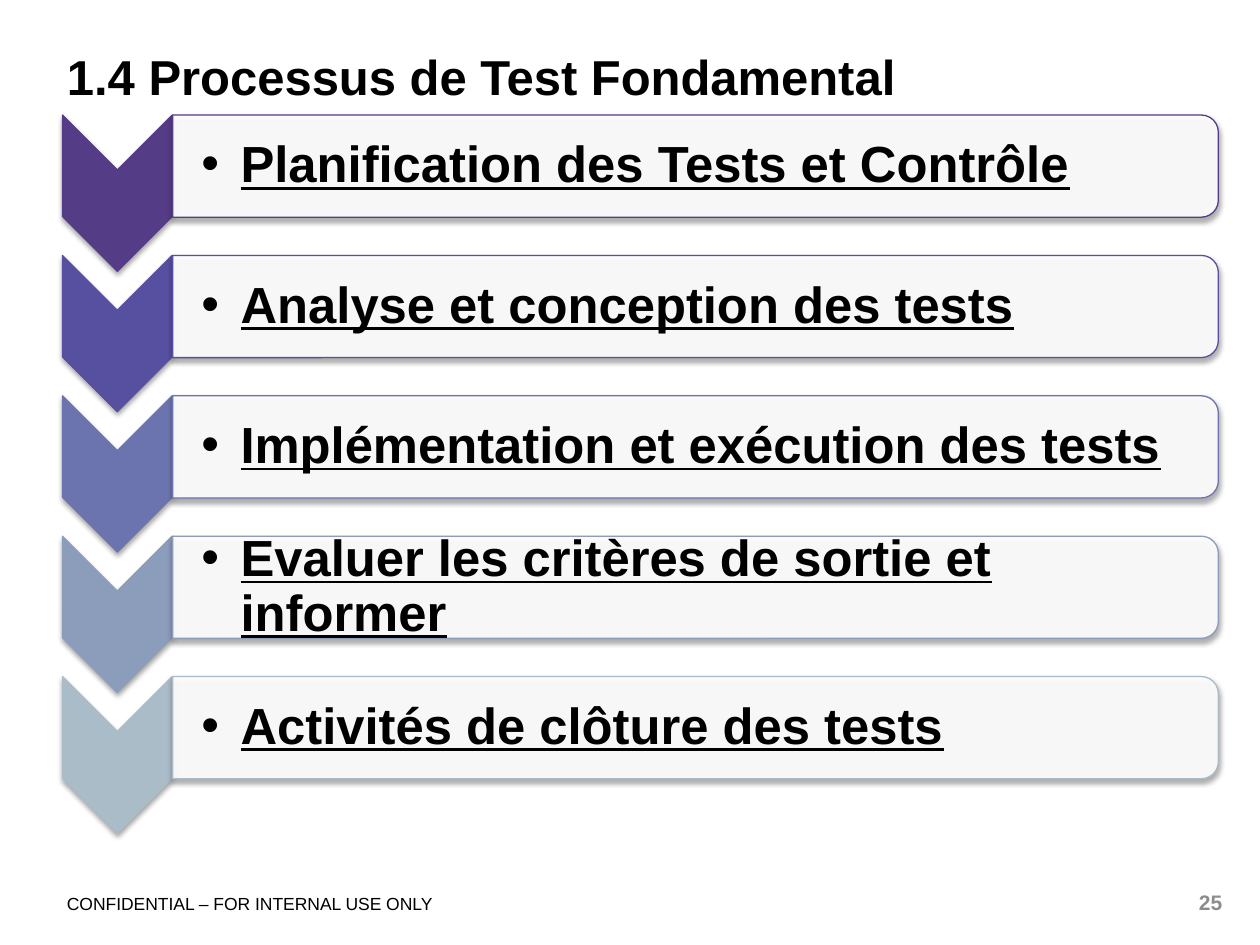
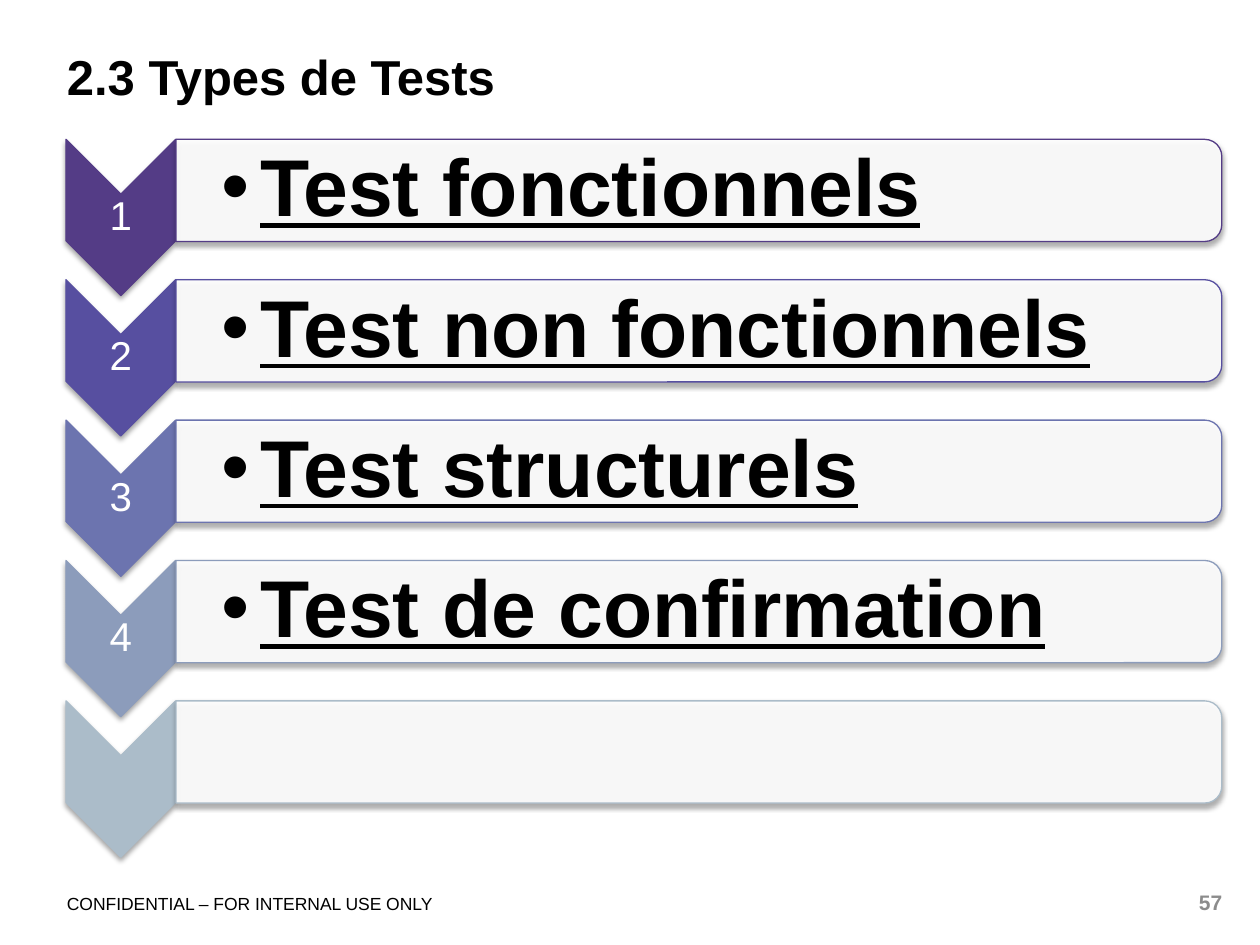
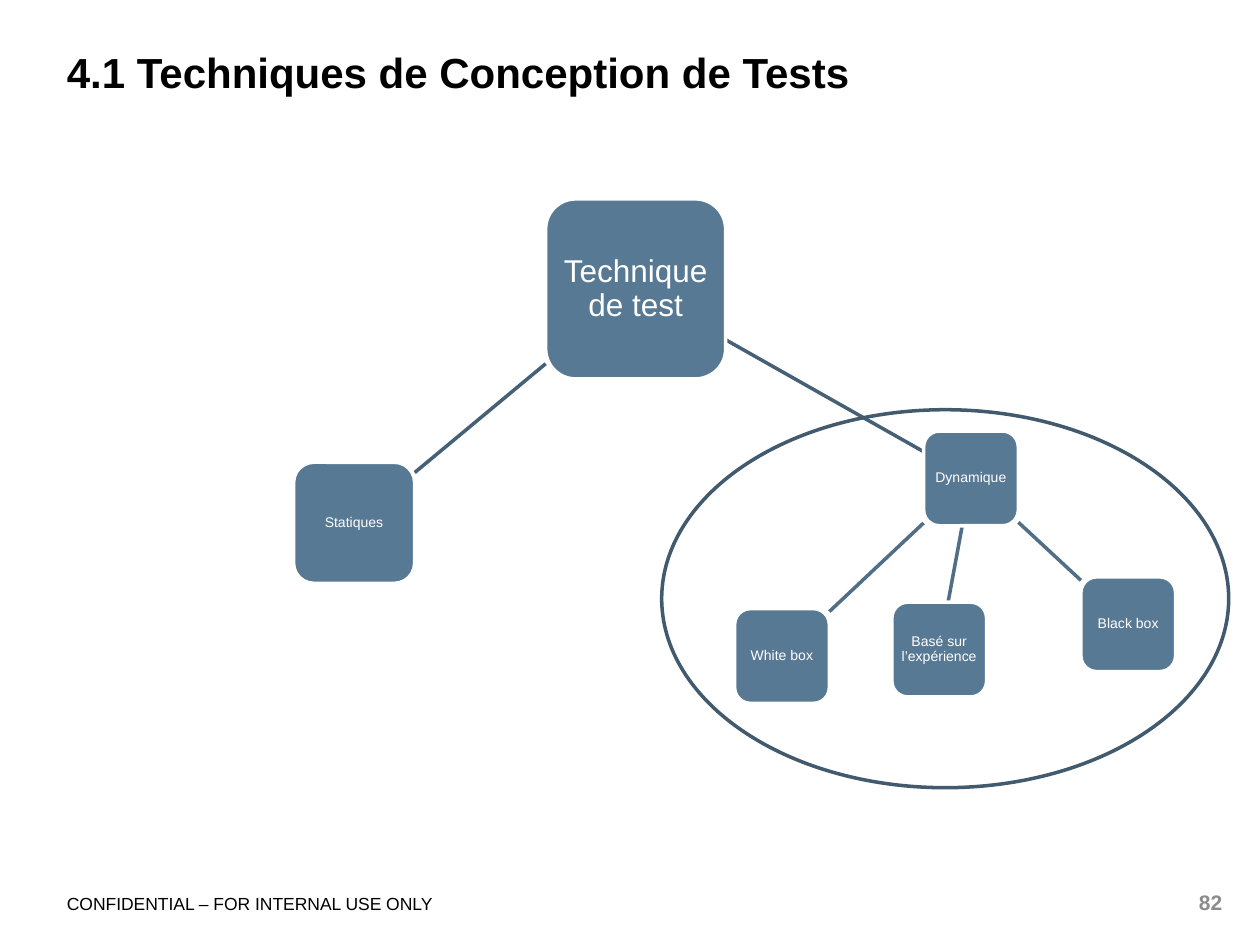
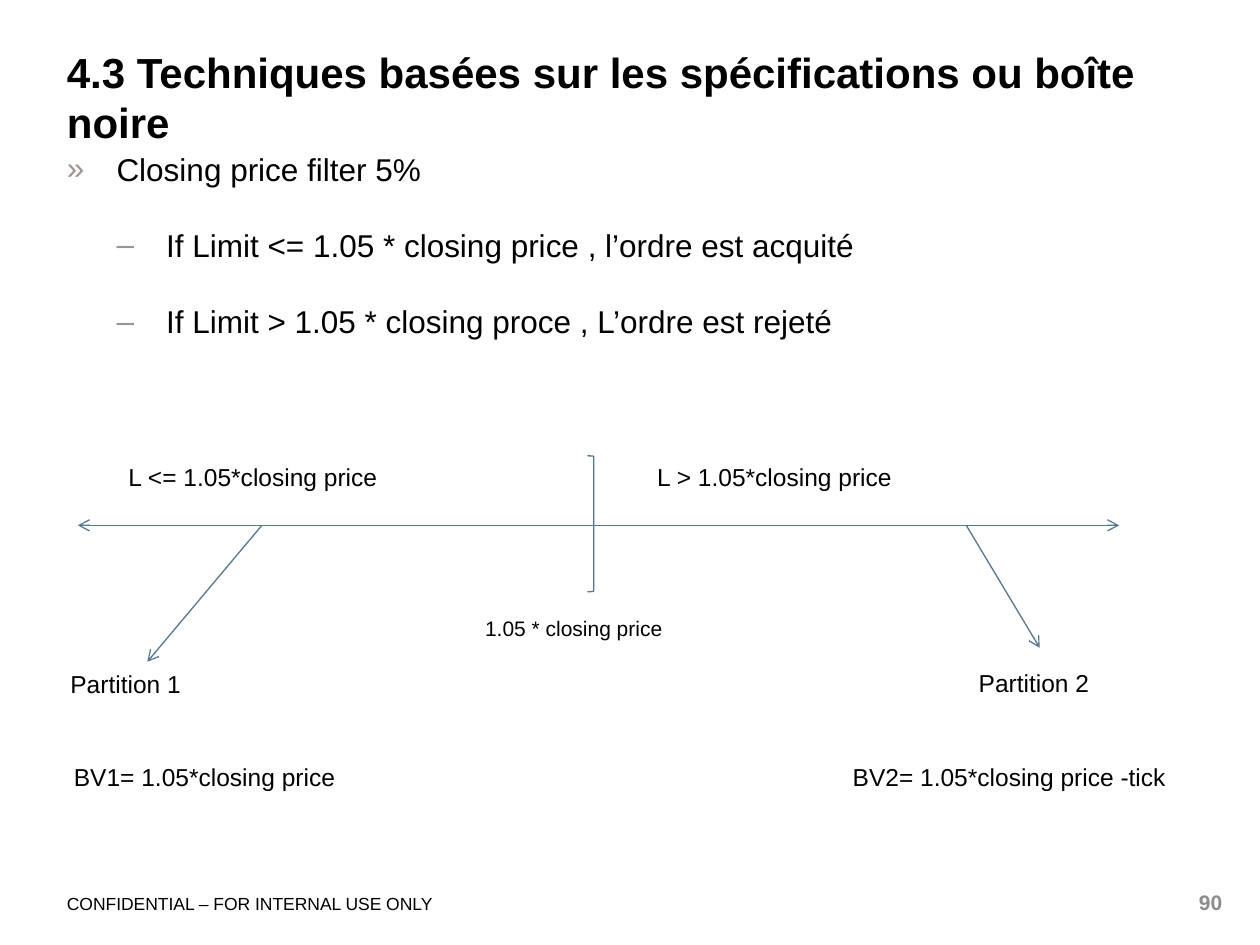
import lxml.etree
import pptx
import pptx.dml.color
import pptx.enum.shapes
import pptx.enum.text
import pptx.oxml.ns
import pptx.util

Cm = pptx.util.Cm
Pt = pptx.util.Pt
qn = pptx.oxml.ns.qn
SHAPE = pptx.enum.shapes.MSO_SHAPE
ALIGN = pptx.enum.text.PP_ALIGN
ANCHOR = pptx.enum.text.MSO_ANCHOR

FONT = "Arial"
COLORS = {
    "text": "000000",
    "white": "FFFFFF",
    "page_number": "8C8C8C",
    "bullet": "9E948D",
    "node": "587993",
    "main_link": "466176",
    "sub_link": "506E85",
    "ellipse": "415A6D",
    "axis": "557791",
    "step_1": "543C86",
    "step_2": "574FA0",
    "step_3": "6C74AF",
    "step_4": "8C9CBB",
    "step_5": "ABBCC9",
}
STEP_COLORS = [f"step_{number}" for number in range(1, 6)]


def rgb(color):
    return pptx.dml.color.RGBColor.from_string(COLORS[color])


def add_xml(parent, tag, **attributes):
    return lxml.etree.SubElement(parent, qn(tag), attributes)


def write(frame, paragraphs, size, color="text", bold=False, underline=False,
          align=ALIGN.LEFT, anchor=ANCHOR.TOP, margins=(0, 0, 0, 0), spacing=None):
    frame.word_wrap = True
    frame.vertical_anchor = anchor
    (frame.margin_left, frame.margin_top,
     frame.margin_right, frame.margin_bottom) = map(Cm, margins)
    frame.text = "\n".join(paragraphs)
    for paragraph in frame.paragraphs:
        paragraph.alignment = align
        paragraph.line_spacing = spacing
        for run in paragraph.runs:
            run.font.name = FONT
            run.font.size = Pt(size)
            run.font.bold = bold
            run.font.underline = underline
            run.font.color.rgb = rgb(color)


def add_text(slide, box, paragraphs, size, **style):
    frame = slide.shapes.add_textbox(*map(Cm, box)).text_frame
    write(frame, paragraphs, size, **style)
    return frame


def add_bullet(paragraph, char, left, hanging, color="text"):
    properties = paragraph._p.get_or_add_pPr()
    properties.set("marL", str(Cm(left)))
    properties.set("indent", str(-Cm(hanging)))
    bullet_color = add_xml(properties, "a:buClr")
    add_xml(bullet_color, "a:srgbClr", val=COLORS[color])
    add_xml(properties, "a:buFont", typeface=FONT)
    add_xml(properties, "a:buChar", char=char)


def add_outlined(slide, kind, box, line, width, fill=None):
    shape = slide.shapes.add_shape(kind, *map(Cm, box))
    shape.shadow.inherit = False
    if fill:
        shape.fill.solid()
        shape.fill.fore_color.rgb = rgb(fill)
    else:
        shape.fill.background()
    shape.line.color.rgb = rgb(line)
    shape.line.width = Pt(width)
    return shape


def add_line(slide, start, end, color, width, head=False, tail=False):
    line = slide.shapes.add_connector(
        pptx.enum.shapes.MSO_CONNECTOR.STRAIGHT, *map(Cm, start + end))
    line.line.color.rgb = rgb(color)
    line.line.width = Pt(width)
    for tag, wanted in (("a:headEnd", head), ("a:tailEnd", tail)):
        if wanted:
            add_xml(line.line._get_or_add_ln(), tag, type="arrow")
    add_xml(line._element.spPr, "a:effectLst")


def add_base(deck, title, title_size, page):
    """Add a slide with its title, footer and page number."""
    slide = deck.slides.add_slide(deck.slide_layouts[6])
    add_text(slide, (1.35, 18.01, 11.23, 0.51),
             ["CONFIDENTIAL – FOR INTERNAL USE ONLY"], 10)
    add_text(slide, (1.35, 0.94, 23.29, 2), [title], title_size, bold=True)
    add_text(slide, (23.65, 17.93, 0.99, 0.51), [page], 12,
             color="page_number", bold=True, align=ALIGN.RIGHT)
    return slide


def add_turned(slide, kind, box, line, fill):
    """Add a shadowed shape turned by 90 degrees that covers the given box."""
    left, top, width, height = box
    shift = (width - height) / 2
    shape = add_outlined(slide, kind, (left + shift, top - shift, height, width),
                         line, 0.75, fill)
    shape.rotation = 90
    effects = shape._element.spPr.find(qn("a:effectLst"))
    shadow = add_xml(effects, "a:outerShdw", blurRad=str(Pt(3.1)), dist=str(Pt(1.8)),
                     dir="5400000", rotWithShape="0")
    add_xml(add_xml(shadow, "a:srgbClr", val=COLORS["text"]), "a:alpha", val="35000")
    return shape


def add_chevron_list(slide, left, top, steps, size, margins):
    """Place one (number, label) row per step colour, at equal distances."""
    for index, ((number, label), color) in enumerate(zip(steps, STEP_COLORS)):
        row_top = top + index * 2.83
        panel_left = left + 2.22
        add_turned(slide, SHAPE.CHEVRON, (left, row_top, 2.21, 3.15), color, color)
        if number:
            add_text(slide, (left, row_top + 1.1, 2.21, 0.94), [number], 23,
                     color="white", align=ALIGN.CENTER, anchor=ANCHOR.MIDDLE,
                     margins=(0.05,) * 4, spacing=0.9)
        panel = add_turned(slide, SHAPE.ROUND_2_SAME_RECTANGLE,
                           (panel_left, row_top, 21.08, 2.06), color, "white")
        panel_color = panel._element.spPr.find(qn("a:solidFill"))[0]
        add_xml(panel_color, "a:alpha", val="90000")
        if label:
            frame = add_text(slide, (panel_left, row_top + 0.11, 20.98, 1.85), [label],
                             size, bold=True, underline=True, anchor=ANCHOR.MIDDLE,
                             margins=margins, spacing=0.9)
            add_bullet(frame.paragraphs[0], "•", 0.79, 0.79)


def edge_point(node, other):
    """Return where the line between two square nodes' centres leaves the first."""
    (x, y, side), (other_x, other_y, other_side) = node[:3], other[:3]
    center_x, center_y = x + side / 2, y + side / 2
    dx = other_x + other_side / 2 - center_x
    dy = other_y + other_side / 2 - center_y
    scale = side / 2 / max(abs(dx), abs(dy))
    return center_x + dx * scale, center_y + dy * scale


def add_technique_tree(slide, left, top):
    nodes = {
        "Technique de test": (5.08, 0, 3.63, 18, 0.13),
        "Dynamique": (12.7, 4.68, 1.91, 8, 0.05),
        "Basé sur l’expérience": (12.06, 8.13, 1.91, 8, 0.05),
        "Black box": (15.87, 7.62, 1.91, 8, 0.05),
        "White box": (8.89, 8.26, 1.91, 8, 0.05),
        "Statiques": (0, 5.31, 2.44, 8, 0.05),
    }
    links = [
        ("Technique de test", "Statiques", "main_link"),
        ("Technique de test", "Dynamique", "main_link"),
        ("Dynamique", "Basé sur l’expérience", "sub_link"),
        ("Dynamique", "Black box", "sub_link"),
        ("Dynamique", "White box", "sub_link"),
    ]
    for parent, child, color in links:
        ends = [edge_point(nodes[parent], nodes[child]),
                edge_point(nodes[child], nodes[parent])]
        start, end = [(left + x, top + y) for x, y in ends]
        add_line(slide, start, end, color, 2)
    for label, (x, y, side, size, margin) in nodes.items():
        node = add_outlined(slide, SHAPE.ROUNDED_RECTANGLE,
                            (left + x, top + y, side, side), "white", 2, "node")
        write(node.text_frame, [label], size, color="white", align=ALIGN.CENTER,
              anchor=ANCHOR.MIDDLE, margins=(margin,) * 4, spacing=0.9)
    add_outlined(slide, SHAPE.OVAL, (left + 7.42, top + 4.25, 11.43, 7.62), "ellipse", 2)


def add_rules(slide, box):
    frame = add_text(slide, box, [
        "Closing price filter 5%",
        "If Limit <= 1.05 * closing price , l’ordre est acquité",
        "If Limit > 1.05 * closing proce , L’ordre est rejeté",
    ], 18)
    for level, paragraph in zip((0, 1, 1), frame.paragraphs):
        paragraph.level = level
        paragraph.space_before = Pt(22 if level else 0)
        add_bullet(paragraph, "»–"[level], 1 + level, 1, "bullet")


def add_price_axis(slide, left, top):
    axis_y = top + 1.4
    add_line(slide, (left + 0.4, axis_y), (left + 21.39, axis_y), "axis", 0.75,
             head=True, tail=True)
    add_outlined(slide, SHAPE.RIGHT_BRACKET, (left + 10.67, top, 0.13, 2.74), "axis", 0.75)
    for start_x, end_x, end_y in ((4.11, 1.8, 4.15), (18.31, 19.79, 3.87)):
        add_line(slide, (left + start_x, axis_y), (left + end_x, top + end_y),
                 "axis", 0.75, tail=True)
    labels = [
        ("1.05 * closing price", 8.36, 3.08, 5.08, 12),
        ("Partition 1", 0, 4.17, 2.97, 14),
        ("Partition 2", 18.31, 4.14, 2.97, 14),
        ("L <= 1.05*closing price", 1.17, 0, 6.45, 14),
        ("L > 1.05*closing price", 11.83, 0, 6.45, 14),
        ("BV1= 1.05*closing price", 0.07, 6.05, 5.94, 14),
        ("BV2= 1.05*closing price -tick", 15.77, 6.05, 6.99, 14),
    ]
    for label, x, y, width, size in labels:
        add_text(slide, (left + x, top + y, width, 0.86), [label], size,
                 margins=(0.25, 0.13, 0.25, 0.13))


def main():
    deck = pptx.Presentation()
    deck.slide_width, deck.slide_height = Cm(25.4), Cm(19.05)

    process = add_base(deck, "1.4 Processus de Test Fondamental", 28, "25")
    add_chevron_list(process, 1.26, 2.32, [
        ("", "Planification des Tests et Contrôle"),
        ("", "Analyse et conception des tests"),
        ("", "Implémentation et exécution des tests"),
        ("", "Evaluer les critères de sortie et informer"),
        ("", "Activités de clôture des tests"),
    ], 29, (0.58, 0.05, 0.05, 0.05))

    test_types = add_base(deck, "2.3 Types de Tests", 28, "57")
    add_chevron_list(test_types, 1.33, 2.81, [
        ("1", "Test fonctionnels"),
        ("2", "Test non fonctionnels"),
        ("3", "Test structurels"),
        ("4", "Test de confirmation"),
        ("", ""),
    ], 46, (0.91, 0.08, 0.08, 0.08))

    techniques = add_base(deck, "4.1 Techniques de Conception de Tests", 24, "82")
    add_technique_tree(techniques, 5.92, 4.01)

    black_box = add_base(
        deck, "4.3 Techniques basées sur les spécifications ou boîte noire", 24, "90")
    add_rules(black_box, (1.35, 3.02, 23.29, 14.76))
    add_price_axis(black_box, 1.17, 9.19)

    deck.save("out.pptx")


if __name__ == "__main__":
    main()
